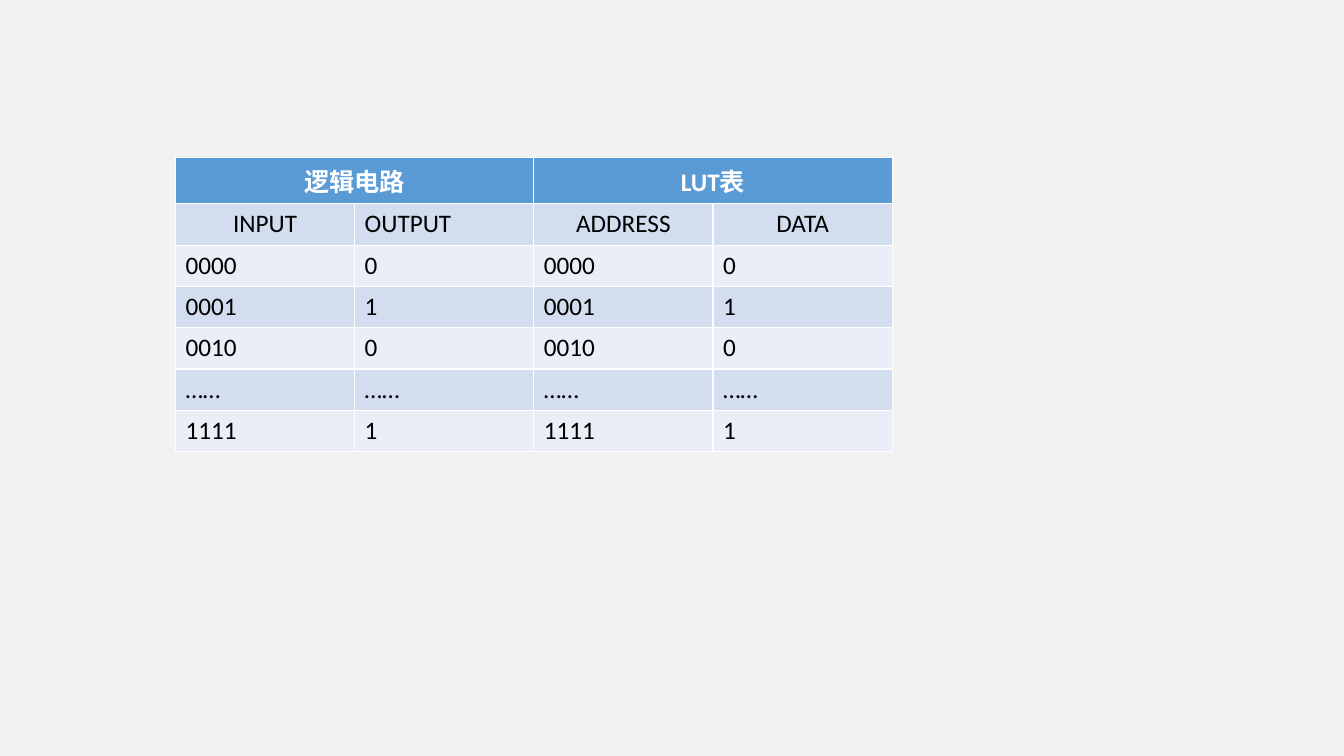
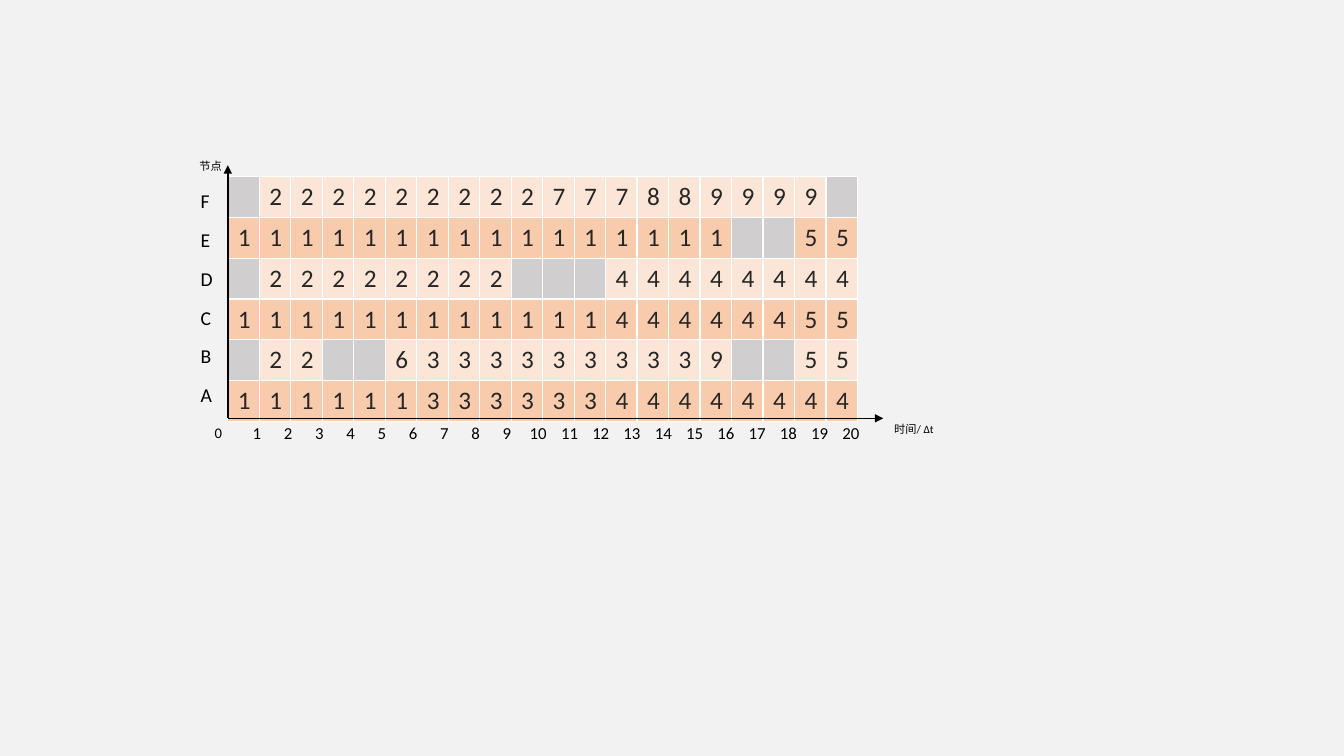
from dataclasses import dataclass

from lxml.etree import SubElement
from pptx import Presentation
from pptx.dml.color import RGBColor
from pptx.enum.shapes import MSO_CONNECTOR
from pptx.enum.text import MSO_AUTO_SIZE, PP_ALIGN
from pptx.oxml.ns import qn
from pptx.slide import Slide
from pptx.table import Table, _Cell as Cell
from pptx.text.text import _Paragraph as Paragraph
from pptx.util import Inches, Pt

FONT = "Calibri"
BACKGROUND, BLACK, WHITE = "F2F2F2", "000000", "FFFFFF"
HEADER_BLUE, BLUE_DARK, BLUE_LIGHT = "5B9BD5", "D2DEEF", "EAEFF7"
ORANGE_DARK, ORANGE_LIGHT, IDLE_GREY = "F8CBAD", "FBE5D6", "D0CECE"
DIGIT_GREY = "262626"

HEADERS = ["逻辑电路", "LUT表"]
COLUMN_NAMES = ["INPUT", "OUTPUT", "ADDRESS", "DATA"]
CENTRED_NAMES = {"INPUT", "ADDRESS", "DATA"}
TRUTH_ROWS = [("0000", "0"), ("0001", "1"), ("0010", "0"), ("……", "……"), ("1111", "1")]

IDLE = "."
SCHEDULE = {
    "F": ".222222222777889999.",
    "E": "1111111111111111..55",
    "D": ".22222222...44444444",
    "C": "11111111111144444455",
    "B": ".22..63333333339..55",
    "A": "11111133333344444444",
}
TIME_STEPS = 20
ORIGIN = (2.26, 4.15)


@dataclass(frozen=True)
class Label:
    text: str
    left: float
    top: float
    width: float
    height: float
    size: float


def rgb(color: str) -> RGBColor:
    return RGBColor.from_string(color)


def set_font(p: Paragraph, size: float, color: str, bold: bool = False) -> None:
    p.font.name = FONT
    p.font.size = Pt(size)
    p.font.bold = bold
    p.font.color.rgb = rgb(color)


def add_table(s: Slide, left: float, top: float, width: float, rows: list[float], cols: int) -> Table:
    """Add a table with equal columns and the given row heights."""
    frame = s.shapes.add_table(len(rows), cols, Inches(left), Inches(top),
                               Inches(width), Inches(sum(rows)))
    for row, height in zip(frame.table.rows, rows):
        row.height = Inches(height)
    return frame.table


def fill_cell(cell: Cell, text: str, fill: str, color: str = BLACK,
              bold: bool = False, centred: bool = False) -> None:
    cell.fill.solid()
    cell.fill.fore_color.rgb = rgb(fill)
    if text:
        p = cell.text_frame.paragraphs[0]
        p.text = text
        if centred:
            p.alignment = PP_ALIGN.CENTER
        set_font(p, 18, color, bold)


def add_label(s: Slide, label: Label, tabs: tuple[float, ...] = ()) -> None:
    """Add a text box; tabs are centred stops in inches from its text edge."""
    box = s.shapes.add_textbox(Inches(label.left), Inches(label.top),
                               Inches(label.width), Inches(label.height))
    tf = box.text_frame
    tf.word_wrap = True
    tf.auto_size = MSO_AUTO_SIZE.SHAPE_TO_FIT_TEXT
    p = tf.paragraphs[0]
    p.text = label.text
    if tabs:
        tab_list = SubElement(p._p.get_or_add_pPr(), qn("a:tabLst"))
        for pos in tabs:
            SubElement(tab_list, qn("a:tab"), pos=str(Inches(pos)), algn="ctr")
    set_font(p, label.size, BLACK)


def add_axis(s: Slide, end_x: float, end_y: float) -> None:
    """Draw an arrow from the chart origin."""
    x, y = ORIGIN
    axis = s.shapes.add_connector(MSO_CONNECTOR.STRAIGHT, Inches(x), Inches(y),
                                  Inches(end_x), Inches(end_y))
    axis.line.color.rgb = rgb(BLACK)
    axis.line.width = Pt(1)
    SubElement(axis.line._get_or_add_ln(), qn("a:tailEnd"), type="triangle")
    SubElement(axis._element.spPr, qn("a:effectLst"))


def build_lut_slide(s: Slide) -> None:
    table = add_table(s, 1.74, 1.56, 7.11, [0.37] + [0.41] * 6, 4)
    for i, header in enumerate(HEADERS):
        cell = table.cell(0, 2 * i)
        cell.merge(table.cell(0, 2 * i + 1))
        fill_cell(cell, header, HEADER_BLUE, WHITE, bold=True, centred=True)
    body = [COLUMN_NAMES] + [[*pair, *pair] for pair in TRUTH_ROWS]
    for r, row in enumerate(body, start=1):
        fill = BLUE_DARK if r % 2 else BLUE_LIGHT
        for c, text in enumerate(row):
            fill_cell(table.cell(r, c), text, fill, centred=text in CENTRED_NAMES)


def build_schedule_slide(s: Slide) -> None:
    table = add_table(s, ORIGIN[0], 1.75, 6.25, [0.4] * len(SCHEDULE), TIME_STEPS)
    for r, slots in enumerate(SCHEDULE.values()):
        busy = ORANGE_DARK if r % 2 else ORANGE_LIGHT
        for c, task in enumerate(slots):
            if task == IDLE:
                fill_cell(table.cell(r, c), "", IDLE_GREY)
            else:
                fill_cell(table.cell(r, c), task, busy, DIGIT_GREY)

    add_axis(s, ORIGIN[0], 1.64)
    add_axis(s, 8.76, ORIGIN[1])
    add_label(s, Label("节点", 1.88, 1.53, 0.78, 0.24, 8))
    add_label(s, Label("时间/ Δt", 8.77, 4.14, 0.78, 0.24, 8))
    add_label(s, Label("0", 2.03, 4.16, 0.78, 0.28, 10.5))

    ticks = "".join(f"\t{n}" for n in range(1, TIME_STEPS + 1))
    stops = tuple(0.19 + 0.31 * i for i in range(TIME_STEPS))
    add_label(s, Label(ticks, ORIGIN[0], 4.14, 6.49, 0.3, 12), stops)

    first_top, last_top = 1.83, 3.75
    pitch = (last_top - first_top) / (len(SCHEDULE) - 1)
    for i, node in enumerate(SCHEDULE):
        add_label(s, Label(node, 1.89, first_top + i * pitch, 0.38, 0.34, 14))


def main() -> None:
    prs = Presentation()
    prs.slide_width, prs.slide_height = Inches(13.33), Inches(7.5)
    background = prs.slide_master.background.fill
    background.solid()
    background.fore_color.rgb = rgb(BACKGROUND)
    blank = prs.slide_layouts[6]
    for build in (build_lut_slide, build_schedule_slide):
        build(prs.slides.add_slide(blank))
    prs.save("out.pptx")


if __name__ == "__main__":
    main()
